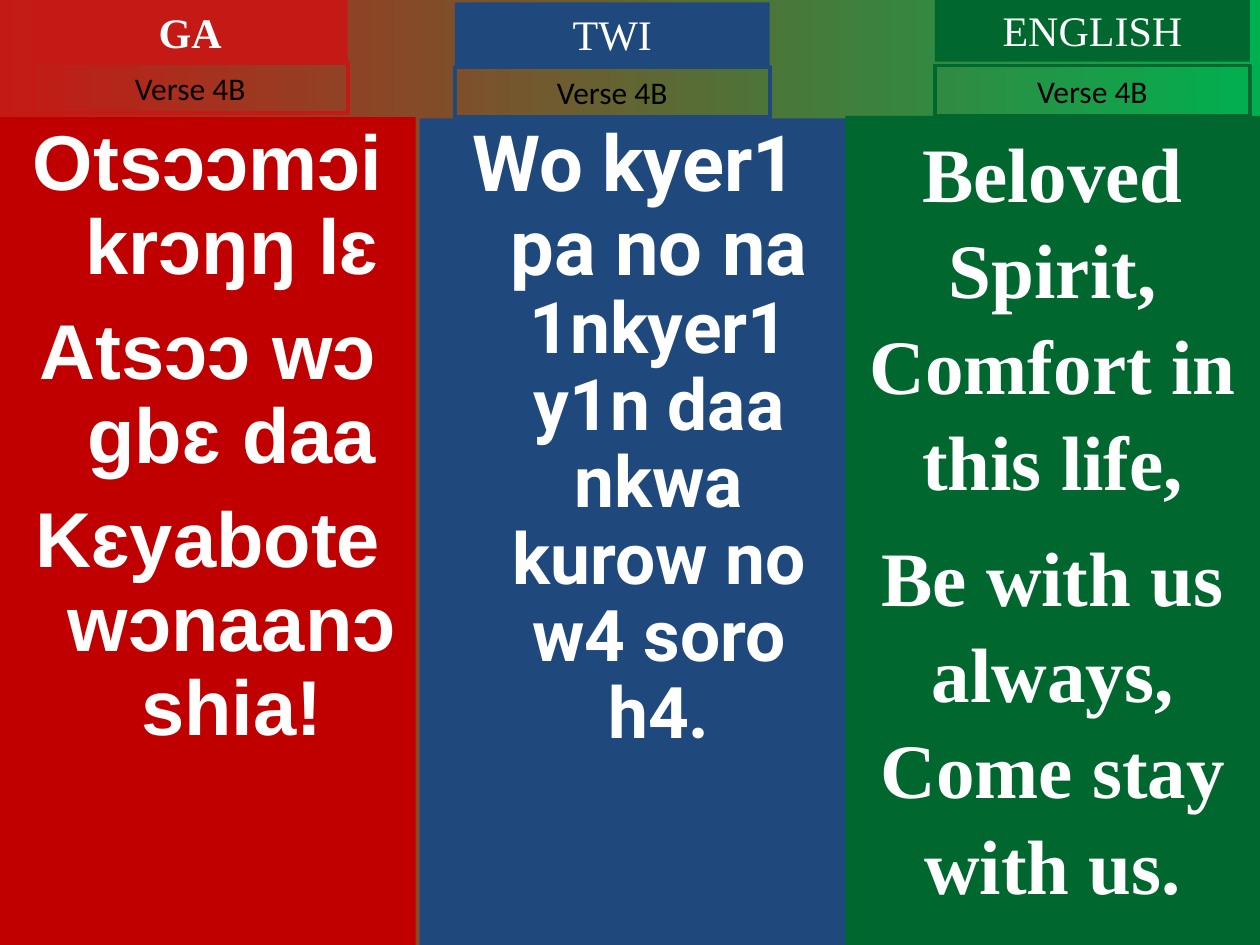
from dataclasses import dataclass

from pptx import Presentation
from pptx.dml.color import RGBColor
from pptx.enum.shapes import MSO_SHAPE
from pptx.enum.text import MSO_ANCHOR, MSO_AUTO_SIZE, PP_ALIGN
from pptx.util import Inches, Pt

RECTANGLE = MSO_SHAPE.RECTANGLE
CENTER = PP_ALIGN.CENTER
TOP = MSO_ANCHOR.TOP
GROW = MSO_AUTO_SIZE.SHAPE_TO_FIT_TEXT


@dataclass(frozen=True)
class Theme:
    red: str = "C51915"
    deep_red: str = "C00000"
    blue: str = "1F497D"
    green: str = "00682F"
    bright_green: str = "00B050"
    white: str = "FFFFFF"
    black: str = "000000"
    serif: str = "Times New Roman"
    sans: str = "Arial"
    twi_face: str = "Roboto"
    verse_face: str = "Calibri"
    heading_size: float = 24
    verse_size: float = 18
    lyric_size: float = 44.4
    small_lyric_size: float = 40.7
    english_size: float = 44


@dataclass(frozen=True)
class Column:
    language: str
    bold_heading: bool
    accent: str
    panel_fill: str
    panel: tuple
    label_left: float
    heading_top: float
    verse_top: float
    face: str
    lines: list
    spacing: float
    gap: float
    hanging: float


class HymnSlide:
    def __init__(self, presentation, theme):
        self.theme = theme
        self.slide = presentation.slides.add_slide(presentation.slide_layouts[6])

    def background(self, left_color, right_color):
        fill = self.slide.background.fill
        fill.gradient()
        fill.gradient_angle = 0
        for stop, position, color in zip(fill.gradient_stops, (0, 1), (left_color, right_color)):
            stop.position = position
            stop.color.rgb = RGBColor.from_string(color)

    def rectangle(self, bounds, fill=None, outline=None):
        box = self.slide.shapes.add_shape(RECTANGLE, *map(Inches, bounds))
        box.shadow.inherit = False
        if fill:
            box.fill.solid()
            box.fill.fore_color.rgb = RGBColor.from_string(fill)
        else:
            box.fill.background()
        if outline:
            box.line.color.rgb = RGBColor.from_string(outline)
            box.line.width = Pt(2.25)
        else:
            box.line.fill.background()
        box.text_frame.word_wrap = True
        box.text_frame.vertical_anchor = TOP
        return box

    def format(self, paragraph, face, size, color, bold=False):
        paragraph.alignment = CENTER
        font = paragraph.font
        font.name, font.size, font.bold = face, Pt(size), bold
        font.color.rgb = RGBColor.from_string(color)

    def label(self, bounds, text, face, size, color, bold=False, fill=None, outline=None):
        frame = self.rectangle(bounds, fill, outline).text_frame
        frame.auto_size = GROW
        frame.text = text
        self.format(frame.paragraphs[0], face, size, color, bold)

    def lyrics(self, column):
        frame = self.rectangle(column.panel, column.panel_fill).text_frame
        for index, parts in enumerate(column.lines):
            paragraph = frame.add_paragraph() if index else frame.paragraphs[0]
            if column.hanging:
                properties = paragraph._p.get_or_add_pPr()
                properties.set("marL", str(Inches(column.hanging)))
                properties.set("indent", str(-Inches(column.hanging)))
            if index:
                paragraph.space_before = Pt(column.gap)
            paragraph.line_spacing = column.spacing
            self.format(paragraph, column.face, parts[0][1], self.theme.white, True)
            for text, size in parts:
                run = paragraph.add_run()
                run.text = text
                if size != parts[0][1]:
                    run.font.size = Pt(size)

    def column(self, column):
        theme = self.theme
        self.lyrics(column)
        self.label((column.label_left, column.heading_top, 2.5, 0.5), column.language,
                   theme.serif, theme.heading_size, theme.white,
                   bold=column.bold_heading, fill=column.accent)
        self.label((column.label_left, column.verse_top, 2.5, 0.4), "Verse 4B",
                   theme.verse_face, theme.verse_size, theme.black, outline=column.accent)


def main():
    theme = Theme()
    presentation = Presentation()
    presentation.slide_width, presentation.slide_height = Inches(10), Inches(7.5)
    hymn = HymnSlide(presentation, theme)
    hymn.background(theme.red, theme.bright_green)

    ga_lines = ["Otsɔɔmɔi krɔŋŋ lɛ", "Atsɔɔ wɔ gbɛ daa", "Kɛyabote wɔnaanɔ shia!"]
    english_lines = ["Beloved Spirit, Comfort in this life,", "Be with us always, Come stay with us."]
    twi_line = [
        ("Wo kyer1 pa no na ", theme.lyric_size),
        ("1nkyer1 y1n daa nkwa kurow no w4 soro h4.", theme.small_lyric_size),
    ]
    columns = [
        Column("GA", True, theme.red, theme.deep_red, (0, 0.93, 3.3, 6.57), 0.26, 0, 0.5,
               theme.sans, [[(line, theme.lyric_size)] for line in ga_lines], 0.9, 12, 0.38),
        Column("TWI", False, theme.blue, theme.blue, (3.33, 0.94, 3.42, 6.56), 3.61, 0.02, 0.53,
               theme.twi_face, [twi_line], 0.9, 11, 0.38),
        Column("ENGLISH", False, theme.green, theme.green, (6.71, 0.92, 3.29, 6.58), 7.42, -0.01, 0.52,
               theme.serif, [[(line, theme.english_size)] for line in english_lines], 1.04, 11, 0),
    ]
    for column in columns:
        hymn.column(column)
    presentation.save("out.pptx")


if __name__ == "__main__":
    main()
